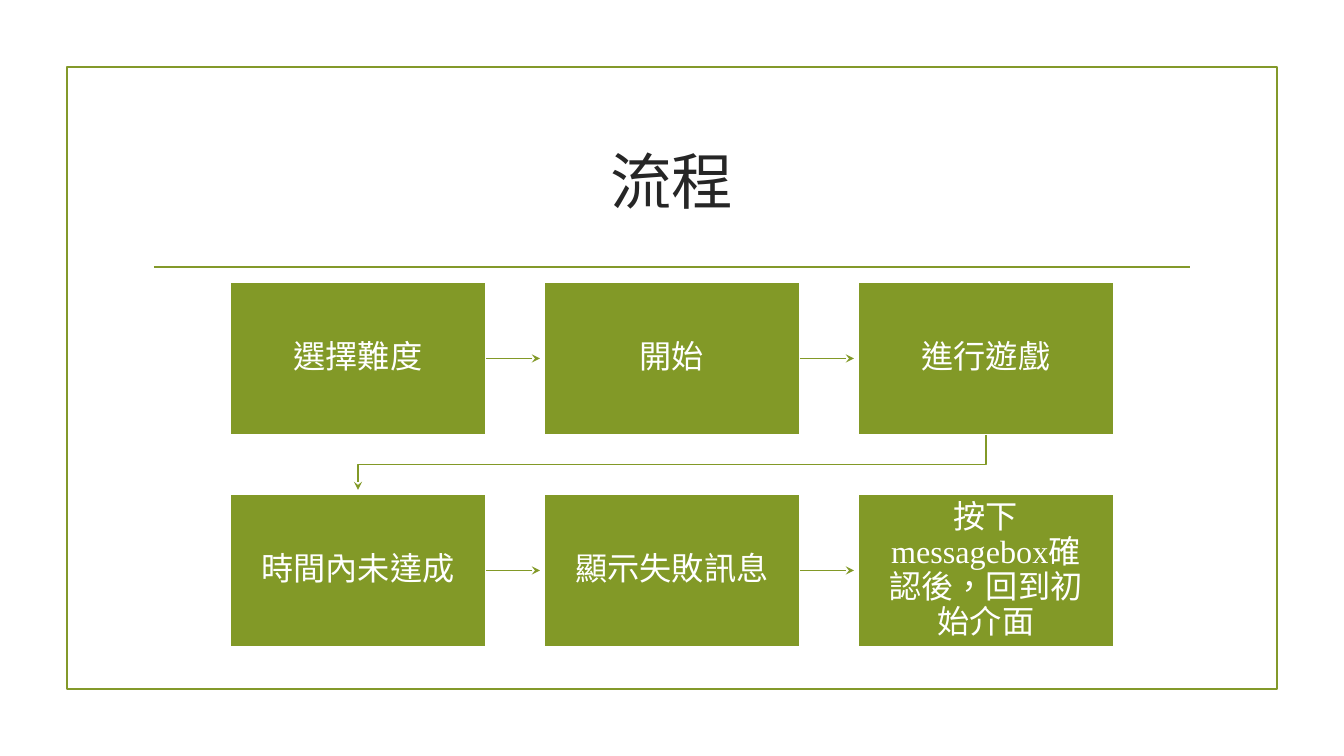
from lxml import etree
from pptx import Presentation
from pptx import util as u
from pptx.dml.color import RGBColor
from pptx.enum import lang, shapes, text
from pptx.oxml.ns import qn

SCALE = 914400 / 100.8
COLORS = {"frame": "83992A", "box": "829927", "white": "FFFFFF", "title": "262626"}


def px(*lengths):
    return [u.Emu(round(length * SCALE)) for length in lengths]


def write(shape, words, size, color, inset_x, inset_y, spacing=1.0):
    frame = shape.text_frame
    frame.word_wrap = True
    frame.vertical_anchor = text.MSO_ANCHOR.MIDDLE
    frame.margin_left, frame.margin_right = px(inset_x, inset_x)
    frame.margin_top, frame.margin_bottom = px(inset_y, inset_y)
    paragraph = frame.paragraphs[0]
    paragraph.alignment = text.PP_ALIGN.CENTER
    paragraph.line_spacing = spacing
    run = paragraph.add_run()
    run.text = words
    run.font.name = "Times New Roman"
    run.font.size = u.Pt(size)
    run.font.color.rgb = RGBColor.from_string(COLORS[color])
    run.font.language_id = lang.MSO_LANGUAGE_ID.TRADITIONAL_CHINESE


presentation = Presentation()
presentation.slide_width, presentation.slide_height = px(1344, 756)
slide = presentation.slides.add_slide(presentation.slide_layouts[6])

border = slide.shapes.add_shape(shapes.MSO_SHAPE.RECTANGLE, *px(67, 67, 1210, 622))
border.shadow.inherit = False
border.fill.background()
border.line.color.rgb = RGBColor.from_string(COLORS["frame"])
border.line.width = u.Pt(1.25)

rule = slide.shapes.add_connector(shapes.MSO_CONNECTOR.STRAIGHT, *px(154, 267, 1190, 267))
rule.line.color.rgb = RGBColor.from_string(COLORS["frame"])
rule.line.width = u.Pt(1.25)
etree.SubElement(rule.element.spPr, qn("a:effectLst"))

title = slide.shapes.add_textbox(*px(143, 108, 1058, 144))
write(title, "流程", size=44, color="title", inset_x=10, inset_y=5)

LEFT, TOP, WIDTH, HEIGHT = 230, 282, 256, 153
STEP_X, STEP_Y, ARROW_GAP = 314, 212, 4
steps = [
    ["選擇難度", "開始", "進行遊戲"],
    ["時間內未達成", "顯示失敗訊息", "按下messagebox確認後，回到初始介面"],
]
arrows = []
for row, labels in enumerate(steps):
    for column, label in enumerate(labels):
        x, y = LEFT + column * STEP_X, TOP + row * STEP_Y
        box = slide.shapes.add_shape(shapes.MSO_SHAPE.RECTANGLE, *px(x, y, WIDTH, HEIGHT))
        box.shadow.inherit = False
        box.fill.solid()
        box.fill.fore_color.rgb = RGBColor.from_string(COLORS["box"])
        box.line.color.rgb = RGBColor.from_string(COLORS["white"])
        box.line.width = u.Pt(1.25)
        write(box, label, size=23, color="white", inset_x=18, inset_y=18, spacing=0.9)
        if column < len(labels) - 1:
            middle = y + HEIGHT / 2
            arrow = slide.shapes.add_connector(
                shapes.MSO_CONNECTOR.STRAIGHT,
                *px(x + WIDTH, middle, x + STEP_X - ARROW_GAP, middle))
            arrow.begin_connect(box, 3)
            etree.SubElement(arrow.element.spPr, qn("a:effectLst"))
            arrows.append(arrow)

first_center = LEFT + WIDTH / 2
last_center = first_center + 2 * STEP_X
turn = TOP + (HEIGHT + STEP_Y) / 2
builder = slide.shapes.build_freeform(*px(last_center, TOP + HEIGHT))
builder.add_line_segments(
    [px(last_center, turn), px(first_center, turn), px(first_center, TOP + STEP_Y - ARROW_GAP)],
    close=False)
return_arrow = builder.convert_to_shape()
return_arrow.shadow.inherit = False
return_arrow.fill.background()
arrows.append(return_arrow)

for arrow in arrows:
    arrow.line.color.rgb = RGBColor.from_string(COLORS["box"])
    arrow.line.width = u.Pt(0.75)
    etree.SubElement(arrow.line._get_or_add_ln(), qn("a:tailEnd"), type="stealth")

presentation.save("out.pptx")
